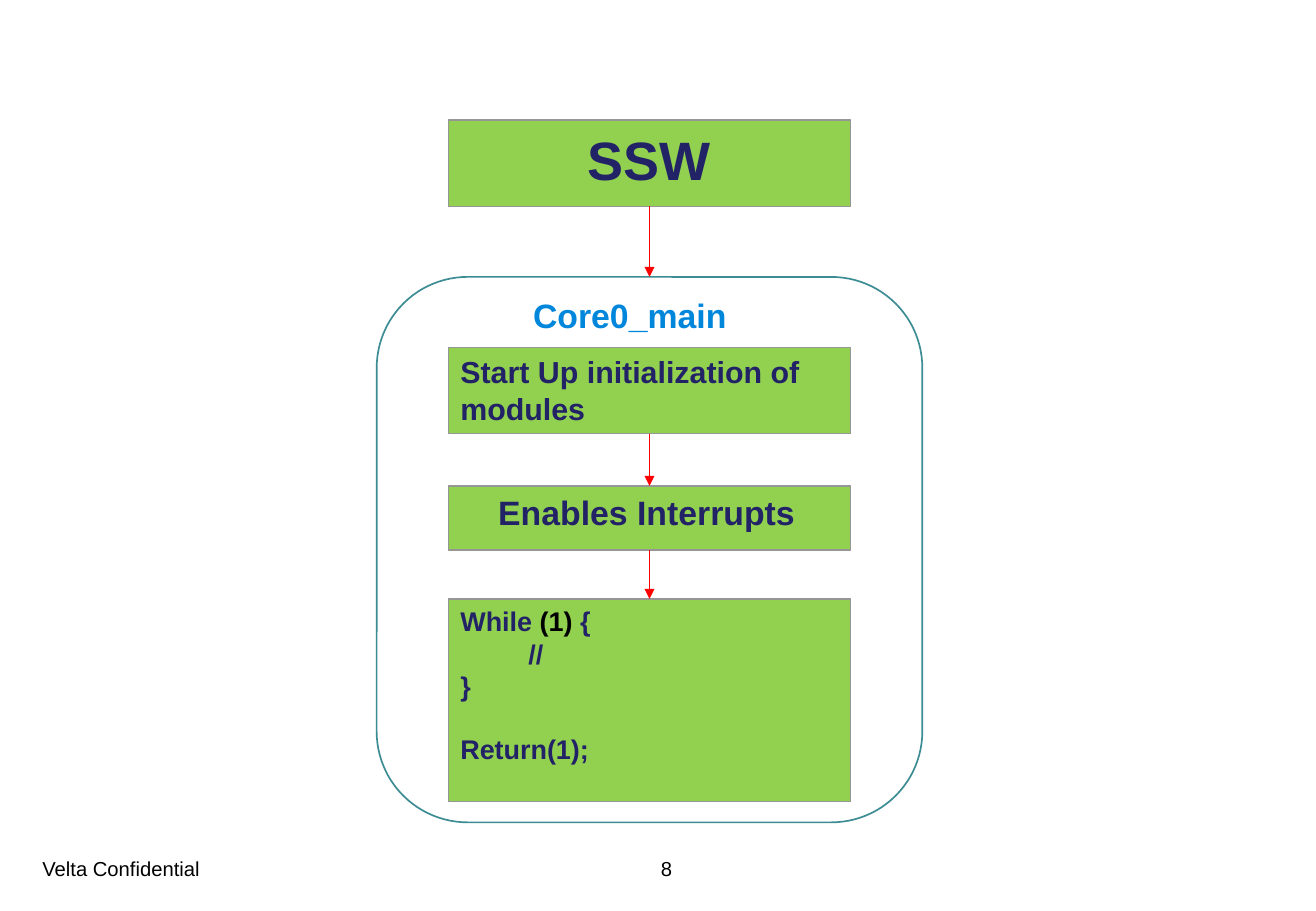
"""Build the start-up flow slide: SSW hands over to Core0_main."""
from dataclasses import dataclass
from itertools import pairwise

from lxml.etree import SubElement
from pptx import Presentation
from pptx.dml.color import RGBColor
from pptx.enum.shapes import MSO_CONNECTOR, MSO_SHAPE
from pptx.enum.text import MSO_ANCHOR as ANCHOR, MSO_AUTO_SIZE, PP_ALIGN as ALIGN
from pptx.oxml.ns import qn
from pptx.util import Inches, Pt

NAVY = RGBColor(0x22, 0x22, 0x67)
BLACK = RGBColor(0, 0, 0)
GREEN = RGBColor(0x92, 0xD0, 0x50)
GREY = RGBColor(0x96, 0x96, 0x96)
TEAL = RGBColor(0x3C, 0x8C, 0x93)
BLUE = RGBColor(0x00, 0x87, 0xDC)
RED = RGBColor(0xFF, 0, 0)

STEP_LEFT, STEP_WIDTH = 3.69, 3.31
SITE_TOP, SITE_BOTTOM = 0, 2


@dataclass
class Step:
    top: float
    height: float
    text: str = ""
    size: float = 18
    align: ALIGN = ALIGN.LEFT
    inset: float = 0.1


SSW = Step(0.99, 0.71, "SSW", 32, ALIGN.CENTER)
CORE_STEPS = [
    Step(2.86, 0.71, "Start Up initialization of modules"),
    Step(4, 0.53, "Enables Interrupts", 20, inset=0.41),
    Step(4.93, 1.67),
]


def add_text(p, text, size=12, color=BLACK, bold=False, align=ALIGN.LEFT):
    p.alignment = align
    r = p.add_run()
    r.text = text
    font = r.font
    font.name, font.size, font.bold = "Arial", Pt(size), bold
    font.color.rgb = color


def add_box(slide, kind: MSO_SHAPE, left: float, top: float, width: float,
            height: float, line: RGBColor, fill: RGBColor | None = None):
    sp = slide.shapes.add_shape(kind, Inches(left), Inches(top), Inches(width), Inches(height))
    sp.shadow.inherit = False
    if fill is None:
        sp.fill.background()
    else:
        sp.fill.solid()
        sp.fill.fore_color.rgb = fill
    sp.line.color.rgb = line
    sp.line.width = Pt(1)
    return sp


def add_step(slide, step: Step):
    sp = add_box(slide, MSO_SHAPE.RECTANGLE, STEP_LEFT, step.top, STEP_WIDTH,
                 step.height, GREY, GREEN)
    tf = sp.text_frame
    tf.word_wrap = True
    tf.vertical_anchor = ANCHOR.TOP
    tf.margin_left = Inches(step.inset)
    if step.text:
        add_text(tf.paragraphs[0], step.text, step.size, NAVY, True, step.align)
    return sp


def add_loop_code(tf) -> None:
    p = tf.paragraphs[0]
    for text, color in (("While", NAVY), (" (1) ", BLACK), ("{", NAVY)):
        add_text(p, text, 16, color, True)
    body, end, result = (tf.add_paragraph() for _ in range(3))
    for p, text in ((body, "//"), (end, "}"), (result, "Return(1);")):
        add_text(p, text, 16, NAVY, True)
    body._p.get_or_add_pPr().set("marL", str(Inches(0.56)))
    result.space_before = Pt(18)


def add_arrow(slide, source, target) -> None:
    cx = slide.shapes.add_connector(MSO_CONNECTOR.STRAIGHT, 0, 0, 0, 0)
    cx.begin_connect(source, SITE_BOTTOM)
    cx.end_connect(target, SITE_TOP)
    cx.line.color.rgb = RED
    cx.line.width = Pt(1)
    SubElement(cx.line._get_or_add_ln(), qn("a:tailEnd"), type="triangle")
    SubElement(cx._element.spPr, qn("a:effectLst"))


def add_footer(slide, text: str, left: float, width: float, align: ALIGN) -> None:
    sp = slide.shapes.add_textbox(Inches(left), Inches(6.95), Inches(width), Inches(0.4))
    tf = sp.text_frame
    tf.word_wrap = True
    tf.vertical_anchor = ANCHOR.MIDDLE
    add_text(tf.paragraphs[0], text, align=align)


def add_title(slide, text: str) -> None:
    sp = slide.shapes.title
    sp.left, sp.top, sp.width, sp.height = map(Inches, (3.84, 2.4, 2.36, 0.39))
    tf = sp.text_frame
    tf.auto_size = MSO_AUTO_SIZE.NONE
    tf.vertical_anchor = ANCHOR.MIDDLE
    tf.margin_right = Inches(0.22)
    add_text(tf.paragraphs[0], text, 20, BLUE, True, ALIGN.RIGHT)


def main() -> None:
    prs = Presentation()
    prs.slide_width, prs.slide_height = Inches(10.83), Inches(7.5)
    slide = prs.slides.add_slide(prs.slide_layouts[5])

    add_title(slide, "Core0_main")
    add_footer(slide, "Velta Confidential", 0.25, 1.96, ALIGN.LEFT)
    add_footer(slide, "8", 4.22, 2.53, ALIGN.CENTER)

    core = add_box(slide, MSO_SHAPE.ROUNDED_RECTANGLE, 3.1, 2.28, 4.49, 4.49, TEAL)
    ssw = add_step(slide, SSW)
    steps = [add_step(slide, step) for step in CORE_STEPS]
    add_loop_code(steps[-1].text_frame)
    for source, target in [(ssw, core), *pairwise(steps)]:
        add_arrow(slide, source, target)

    prs.save("out.pptx")


if __name__ == "__main__":
    main()
